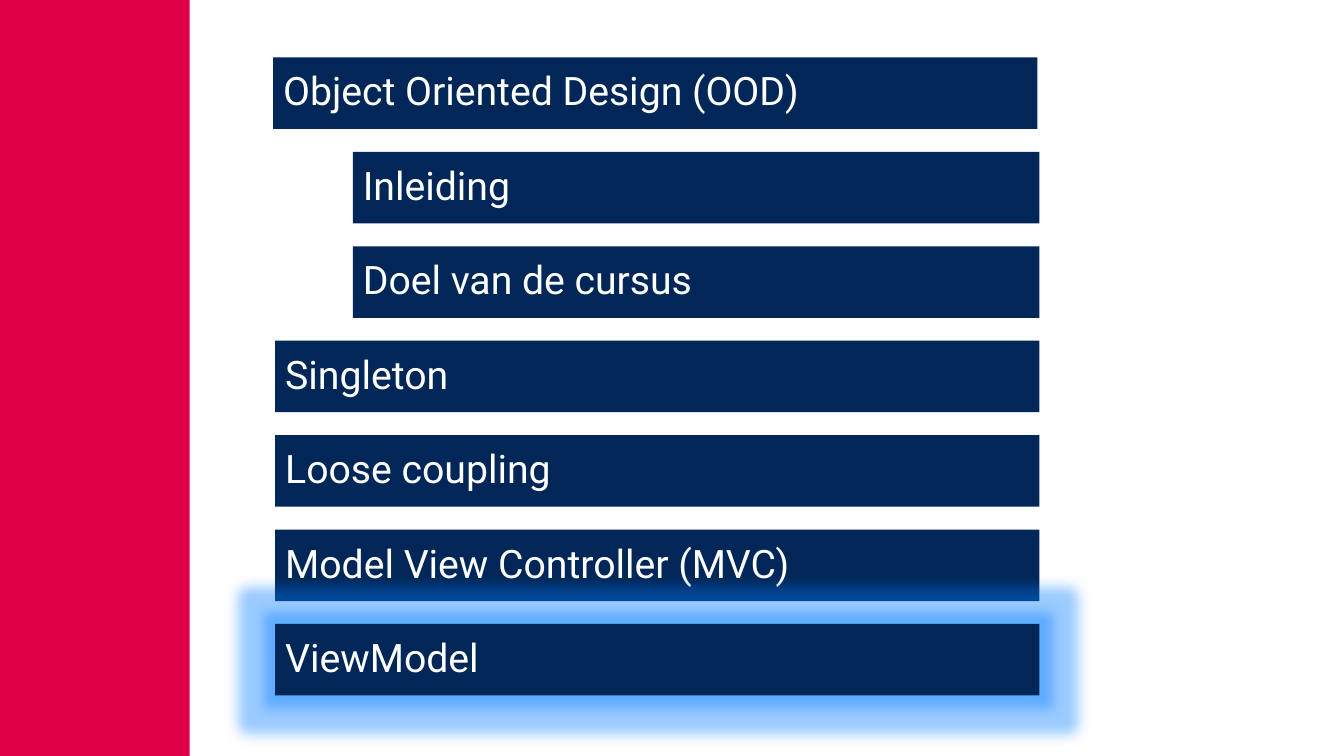
"""Build the course agenda slide with the ViewModel topic highlighted."""
from lxml import etree
from pptx import Presentation
from pptx.dml.color import RGBColor
from pptx.enum import shapes, text
from pptx.oxml import ns
from pptx.util import Inches, Pt

TOPICS = [
    ("Object Oriented Design (OOD)", 2.71, 7.58),
    ("Inleiding", 3.5, 6.81),
    ("Doel van de cursus", 3.5, 6.81),
    ("Singleton", 2.73, 7.58),
    ("Loose coupling", 2.73, 7.58),
    ("Model View Controller (MVC)", 2.73, 7.58),
    ("ViewModel", 2.73, 7.58),
]
CURRENT = "ViewModel"
RED, NAVY, WHITE, GLOW = "E00049", "002757", "FFFFFF", "057DFF"
FIRST_TOP, LAST_TOP, BAR_HEIGHT = 0.57, 6.19, 0.71
PITCH = (LAST_TOP - FIRST_TOP) / (len(TOPICS) - 1)


def color(value):
    return RGBColor.from_string(value)


def add_rect(slide, left, top, width, height, fill):
    sp = slide.shapes.add_shape(shapes.MSO_SHAPE.RECTANGLE, Inches(left),
                                Inches(top), Inches(width), Inches(height))
    sp.shadow.inherit = False
    sp.fill.solid()
    sp.fill.fore_color.rgb = color(fill)
    sp.line.fill.background()
    return sp


def add_topic(slide, label, left, top, width):
    sp = add_rect(slide, left, top, width, BAR_HEIGHT, NAVY)
    tf = sp.text_frame
    tf.text = label
    tf.word_wrap = False
    tf.vertical_anchor = text.MSO_ANCHOR.MIDDLE
    p = tf.paragraphs[0]
    p.alignment = text.PP_ALIGN.LEFT
    p.line_spacing = 0.9
    font = p.runs[0].font
    font.name = "Roboto"
    font.size = Pt(28)
    font.color.rgb = color(WHITE)
    return sp


def add_glow(sp, radius):
    effects = sp._element.spPr.find(ns.qn("a:effectLst"))
    glow = etree.SubElement(effects, ns.qn("a:glow"), rad=str(Pt(radius)))
    clr = etree.SubElement(glow, ns.qn("a:srgbClr"), val=GLOW)
    etree.SubElement(clr, ns.qn("a:alpha"), val="40000")


def main():
    prs = Presentation()
    prs.slide_width, prs.slide_height = Inches(13.33), Inches(7.5)
    slide = prs.slides.add_slide(prs.slide_layouts[6])
    add_rect(slide, 0, 0, 1.88, 7.5, RED)
    for i, (label, left, width) in enumerate(TOPICS):
        sp = add_topic(slide, label, left, FIRST_TOP + i * PITCH, width)
        if label == CURRENT:
            add_glow(sp, 18)
    prs.save("out.pptx")


if __name__ == "__main__":
    main()
